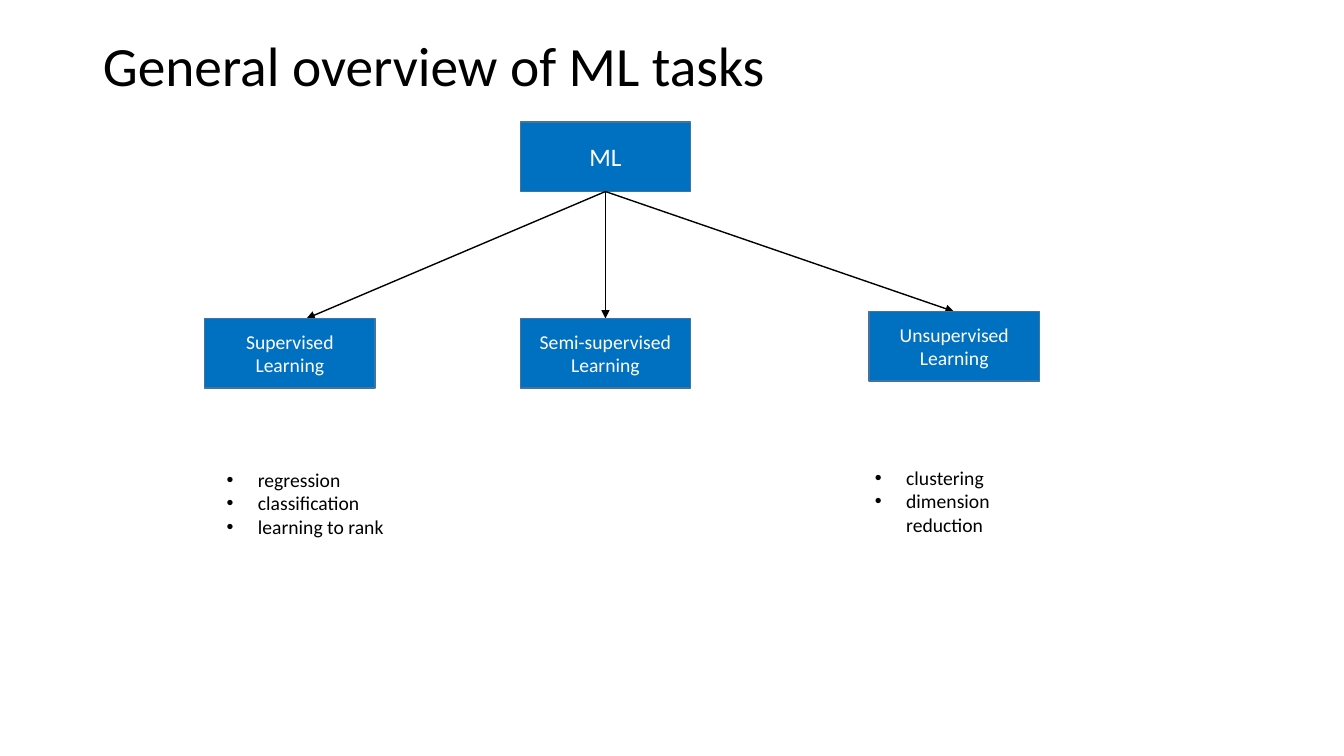
from pptx import Presentation, util as u
from pptx.dml.color import RGBColor
from pptx.enum import shapes, text
from pptx.oxml import ns
from lxml import etree

COLORS = {"box": "0070C0", "border": "43739E", "white": "FFFFFF", "black": "000000"}
FONT = "Calibri"
BOX_W, BOX_H = 1.69, 0.69


def rgb(name):
    """Return the named colour."""
    return RGBColor.from_string(COLORS[name])


def style_text(tf, size, color, align):
    """Format every paragraph and run of a text frame."""
    for p in tf.paragraphs:
        p.alignment = align
        for r in p.runs:
            r.font.name = FONT
            r.font.size = u.Pt(size)
            r.font.color.rgb = rgb(color)


def set_title(s, title):
    """Place and format the title placeholder."""
    sp = s.shapes.title
    sp.left, sp.top = u.Inches(0.92), u.Inches(0.4)
    sp.width, sp.height = u.Inches(11.5), u.Inches(0.56)
    tf = sp.text_frame
    tf.text = title
    tf.auto_size = text.MSO_AUTO_SIZE.NONE
    tf.vertical_anchor = text.MSO_ANCHOR.MIDDLE
    tf.paragraphs[0].line_spacing = 0.9
    style_text(tf, 39.6, "black", text.PP_ALIGN.LEFT)


def add_box(s, label, x, y, size=14):
    """Add a labelled task box."""
    sp = s.shapes.add_shape(shapes.MSO_SHAPE.RECTANGLE, u.Inches(x), u.Inches(y),
                            u.Inches(BOX_W), u.Inches(BOX_H))
    sp.shadow.inherit = False
    sp.fill.solid()
    sp.fill.fore_color.rgb = rgb("box")
    sp.line.color.rgb = rgb("border")
    sp.line.width = u.Pt(1)
    tf = sp.text_frame
    tf.text = label
    tf.word_wrap = True
    tf.vertical_anchor = text.MSO_ANCHOR.MIDDLE
    style_text(tf, size, "white", text.PP_ALIGN.CENTER)


def add_arrow(s, start, end):
    """Add a straight arrow between two points."""
    c = s.shapes.add_connector(shapes.MSO_CONNECTOR.STRAIGHT,
                               *(u.Inches(v) for v in start + end))
    c.line.color.rgb = rgb("black")
    c.line.width = u.Pt(1)
    sp_pr = c._element.spPr
    ln = sp_pr.find(ns.qn("a:ln"))
    etree.SubElement(ln, ns.qn("a:tailEnd"), type="triangle")
    etree.SubElement(sp_pr, ns.qn("a:effectLst"))


def add_bullets(s, items, x, y):
    """Add a bulleted list of example tasks."""
    sp = s.shapes.add_textbox(u.Inches(x), u.Inches(y), u.Inches(1.77), u.Inches(0.81))
    tf = sp.text_frame
    tf.text = "\n".join(items)
    tf.word_wrap = True
    tf.auto_size = text.MSO_AUTO_SIZE.SHAPE_TO_FIT_TEXT
    style_text(tf, 14, "black", text.PP_ALIGN.LEFT)
    for p in tf.paragraphs:
        p_pr = p._p.get_or_add_pPr()
        p_pr.set("marL", str(u.Inches(0.31)))
        p_pr.set("indent", str(-u.Inches(0.31)))
        etree.SubElement(p_pr, ns.qn("a:buFont"), typeface="Arial")
        etree.SubElement(p_pr, ns.qn("a:buChar"), char="•")


def main():
    """Build the overview slide and save it."""
    prs = Presentation()
    prs.slide_width, prs.slide_height = u.Inches(13.33), u.Inches(7.5)
    s = prs.slides.add_slide(prs.slide_layouts[5])
    set_title(s, "General overview of ML tasks")

    root_x, root_y = 5.16, 1.21
    add_box(s, "ML", root_x, root_y, 18)
    root_bottom = (root_x + BOX_W / 2, root_y + BOX_H)
    branches = [
        ("Supervised Learning", 2.03, 3.16, 3.04),
        ("Semi-supervised\nLearning", root_x, 3.16, root_bottom[0]),
        ("Unsupervised\nLearning", 8.62, 3.09, 9.46),
    ]
    for label, x, y, arrow_x in branches:
        add_arrow(s, root_bottom, (arrow_x, y))
        add_box(s, label, x, y)

    add_bullets(s, ["regression", "classification", "learning to rank"], 2.15, 4.59)
    add_bullets(s, ["clustering", "dimension reduction"], 8.58, 4.57)
    prs.save("out.pptx")


main()
